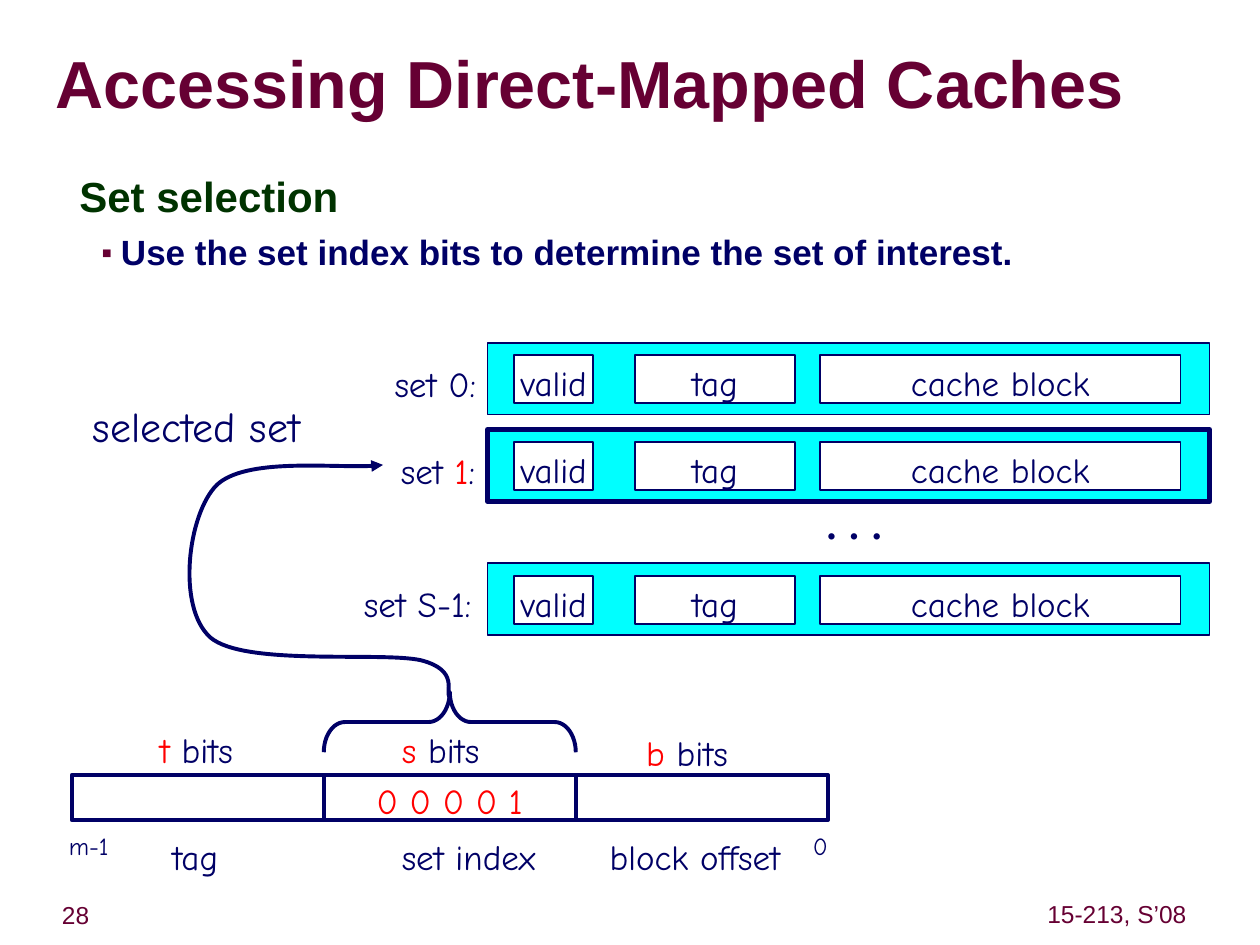
from lxml import etree
from pptx import Presentation
from pptx.dml.color import RGBColor
from pptx.enum.shapes import MSO_SHAPE
from pptx.enum.text import MSO_ANCHOR, MSO_AUTO_SIZE, PP_ALIGN
from pptx.oxml import parse_xml
from pptx.oxml.ns import nsdecls, qn
from pptx.util import Inches, Pt

RECTANGLE, RIGHT_BRACE = MSO_SHAPE.RECTANGLE, MSO_SHAPE.RIGHT_BRACE
TOP, MIDDLE = MSO_ANCHOR.TOP, MSO_ANCHOR.MIDDLE
LEFT, CENTER = PP_ALIGN.LEFT, PP_ALIGN.CENTER
NO_AUTOFIT = MSO_AUTO_SIZE.NONE

NAVY = RGBColor(0x00, 0x00, 0x66)
MAROON = RGBColor(0x66, 0x00, 0x33)
GREEN = RGBColor(0x00, 0x33, 0x00)
RED = RGBColor(0xFF, 0x00, 0x00)
CYAN = RGBColor(0x00, 0xFF, 0xFF)
WHITE = RGBColor(0xFF, 0xFF, 0xFF)

HEADING_FONT = "Arial"
DIAGRAM_FONT = "Comic Neue"

# Top, line width, label runs, label left, label width
CACHE_SETS = [
    (2.72, 1, [("set 0:", NAVY)], 3.03, 0.85),
    (3.41, 3, [("set ", NAVY), ("1", RED), (":", NAVY)], 3.08, 0.79),
    (4.47, 1, [("set S-1:", NAVY)], 2.79, 1.05),
]
SET_FIELDS = [("valid", 4.08, 0.63), ("tag", 5.04, 1.27), ("cache block", 6.51, 2.86)]

ADDRESS_LEFT, ADDRESS_TOP, FIELD_WIDTH = 0.57, 6.15, 2
# Bit letter, letter left, letter top, content, caption, caption left
ADDRESS_FIELDS = [
    ("t", 1.17, 5.68, "", "tag", 1.27),
    ("s", 3.09, 5.68, "0 0 0 0 1", "set index", 3.09),
    ("b", 5.03, 5.70, "", "block offset", 4.74),
]

# Start point, then three points for each Bézier segment
SELECTION_CURVE = [
    (3.57, 5.54),
    (3.53, 5.49), (3.65, 5.32), (3.34, 5.24),
    (3.02, 5.17), (1.94, 5.29), (1.67, 5.06),
    (1.40, 4.82), (1.49, 4.08), (1.72, 3.85),
    (1.95, 3.63), (2.77, 3.73), (3.04, 3.69),
]


def set_values(target, values):
    for name, value in values.items():
        setattr(target, name, value)


def write_runs(paragraph, runs, size, font=DIAGRAM_FONT, bold=False):
    for text, color in runs:
        run = paragraph.add_run()
        run.text = text
        set_values(run.font, {"size": Pt(size), "name": font, "bold": bold})
        run.font.color.rgb = color


def set_frame(frame, anchor, wrap, side, end):
    set_values(frame, {
        "auto_size": NO_AUTOFIT, "vertical_anchor": anchor, "word_wrap": wrap,
        "margin_left": Inches(side), "margin_right": Inches(side),
        "margin_top": Inches(end), "margin_bottom": Inches(end),
    })


def write_line(shape, runs, size=20, font=DIAGRAM_FONT, spacing=1.16, anchor=MIDDLE, align=CENTER):
    set_frame(shape.text_frame, anchor, False, 0.1, 0.05)
    paragraph = shape.text_frame.paragraphs[0]
    set_values(paragraph, {"alignment": align, "line_spacing": spacing})
    write_runs(paragraph, runs, size, font)


def add_label(slide, box, runs, **text_format):
    write_line(slide.shapes.add_textbox(*map(Inches, box)), runs, **text_format)


def style_outline(shape, fill, width):
    shape.shadow.inherit = False
    if fill is None:
        shape.fill.background()
    else:
        shape.fill.solid()
        shape.fill.fore_color.rgb = fill
    shape.line.color.rgb = NAVY
    shape.line.width = Pt(width)


def add_outlined(slide, kind, box, fill=None, width=1, text=""):
    shape = slide.shapes.add_shape(kind, *map(Inches, box))
    style_outline(shape, fill, width)
    if text:
        write_line(shape, [(text, RED if fill is None else NAVY)])
    return shape


def place(shape, left, top, width, height):
    set_values(shape, {"left": Inches(left), "top": Inches(top),
                       "width": Inches(width), "height": Inches(height)})


def add_bullet(paragraph):
    properties = paragraph._p.get_or_add_pPr()
    for markup in (
        f'<a:buClr {nsdecls("a")}><a:srgbClr val="{MAROON}"/></a:buClr>',
        f'<a:buSzPct {nsdecls("a")} val="45000"/>',
        f'<a:buChar {nsdecls("a")} char="■"/>',
    ):
        properties.append(parse_xml(markup))


def fill_placeholders(slide):
    title = slide.shapes.title
    place(title, 0.44, 0.27, 9.53, 0.86)
    set_frame(title.text_frame, MIDDLE, True, 0, 0)
    paragraph = title.text_frame.paragraphs[0]
    set_values(paragraph, {"alignment": LEFT, "line_spacing": 0.85})
    write_runs(paragraph, [("Accessing Direct-Mapped Caches", MAROON)], 38, HEADING_FONT, True)

    body = slide.placeholders[1]
    place(body, 0.32, 1.34, 9.09, 1.18)
    set_frame(body.text_frame, TOP, True, 0.1, 0.05)
    heading = body.text_frame.paragraphs[0]
    point = body.text_frame.add_paragraph()
    for paragraph, text, color, size, level, spacing, before, margin, indent in (
        (heading, "Set selection", GREEN, 24, 0, 0.93, 15, 0.35, -0.14),
        (point, "Use the set index bits to determine the set of interest.",
         NAVY, 20, 1, 0.98, 6.2, 0.54, -0.15),
    ):
        set_values(paragraph, {"level": level, "line_spacing": spacing, "space_before": Pt(before)})
        properties = paragraph._p.get_or_add_pPr()
        properties.set("marL", str(Inches(margin)))
        properties.set("indent", str(Inches(indent)))
        write_runs(paragraph, [(text, color)], size, HEADING_FONT, True)
    etree.SubElement(heading._p.get_or_add_pPr(), qn("a:buNone"))
    add_bullet(point)


def add_curved_arrow(slide, points):
    """Draw a Bézier path by grouping the freeform's points in threes."""
    start, *others = [(Inches(x), Inches(y)) for x, y in points]
    builder = slide.shapes.build_freeform(*start)
    builder.add_line_segments(others, close=False)
    shape = builder.convert_to_shape()
    style_outline(shape, None, 2.25)
    steps = list(shape._element.iter(qn("a:lnTo")))
    for first in range(0, len(steps), 3):
        curve = etree.SubElement(steps[first].getparent(), qn("a:cubicBezTo"))
        for step in steps[first:first + 3]:
            curve.append(step[0])
            step.getparent().remove(step)
    etree.SubElement(shape.line._get_or_add_ln(), qn("a:tailEnd"), type="triangle")


def add_cache_sets(slide):
    for top, width, label, label_left, label_width in CACHE_SETS:
        add_outlined(slide, RECTANGLE, (3.87, top, 5.73, 0.57), CYAN, width)
        for text, left, field_width in SET_FIELDS:
            add_outlined(slide, RECTANGLE, (left, top + 0.1, field_width, 0.38), WHITE, text=text)
        add_label(slide, (label_left, top + 0.05, label_width, 0.49), label)
    add_label(slide, (6.46, 3.95, 0.64, 0.49), [("• • •", NAVY)])


def add_address(slide):
    for index, (letter, left, top, content, caption, caption_left) in enumerate(ADDRESS_FIELDS):
        add_outlined(slide, RECTANGLE,
                     (ADDRESS_LEFT + index * FIELD_WIDTH, ADDRESS_TOP, FIELD_WIDTH, 0.36),
                     width=2.25, text=content)
        add_label(slide, (left, top, 0.85, 0.48), [(letter, RED), (" bits", NAVY)],
                  anchor=TOP, align=LEFT)
        add_label(slide, (caption_left, 6.53, 1.55, 0.48), [(caption, NAVY)],
                  anchor=TOP, align=LEFT)
    for text, left, width in (("m-1", 0.45, 0.51), ("0", 6.35, 0.32)):
        add_label(slide, (left, 6.51, width, 0.37), [(text, NAVY)], size=14)
    brace = add_outlined(slide, RIGHT_BRACE, (3.33, 4.73, 0.48, 2), width=2.25)
    brace.rotation = 270
    brace.adjustments[0] = 0.35


def main():
    presentation = Presentation()
    presentation.slide_width, presentation.slide_height = Inches(10), Inches(7.5)
    slide = presentation.slides.add_slide(presentation.slide_layouts[1])
    fill_placeholders(slide)
    add_address(slide)
    add_label(slide, (0.63, 3.06, 1.86, 0.57), [("selected set", NAVY)], size=24)
    add_cache_sets(slide)
    add_curved_arrow(slide, SELECTION_CURVE)
    for text, box in (("28", (0.08, 7.12, 1.04, 0.31)), ("15-213, S’08", (8.26, 7.11, 1.21, 0.31))):
        add_label(slide, box, [(text, MAROON)], size=14, font=HEADING_FONT, spacing=0.88)
    presentation.save("out.pptx")


if __name__ == "__main__":
    main()
